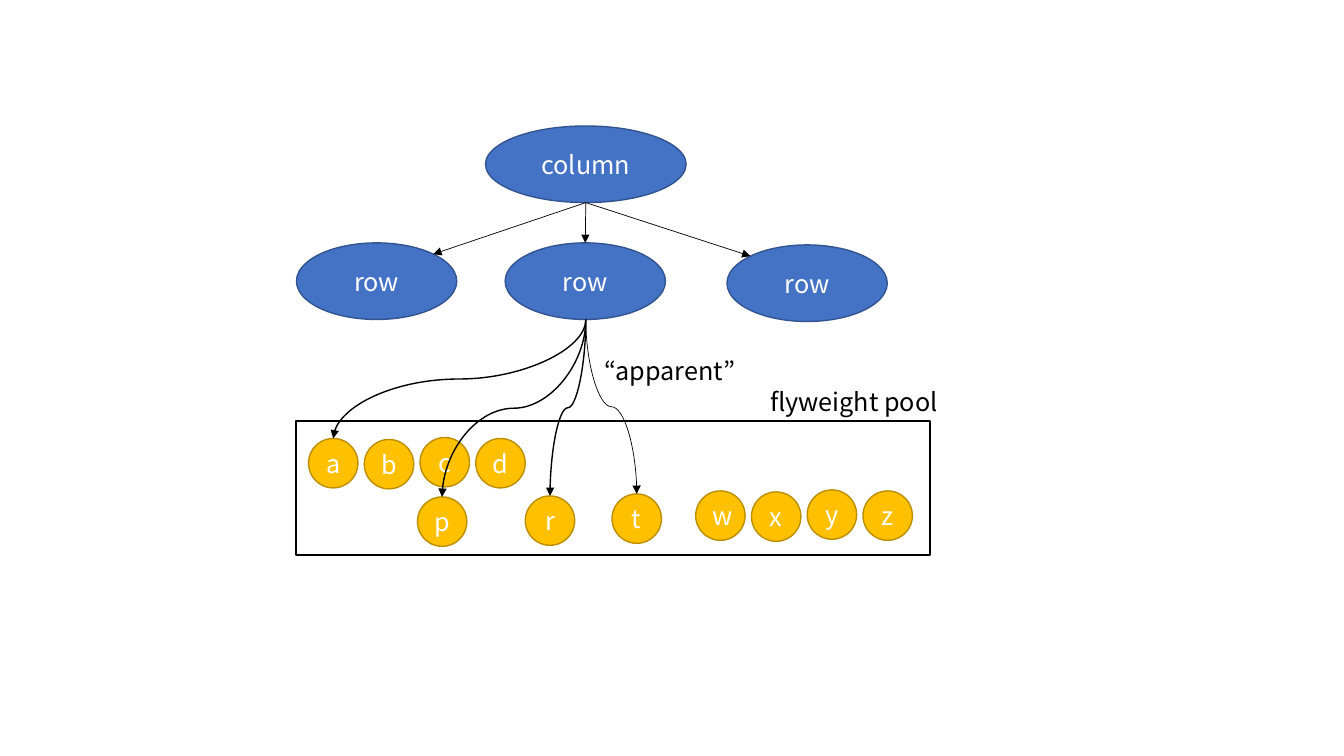
from math import sqrt

from lxml.etree import SubElement
from pptx import Presentation
from pptx.dml.color import RGBColor
from pptx.enum.shapes import MSO_CONNECTOR, MSO_SHAPE
from pptx.enum.text import MSO_ANCHOR, PP_ALIGN
from pptx.oxml.ns import qn
from pptx.util import Inches, Pt

COLORS = {"blue": "4472C4", "blue_line": "325491", "gold": "FFC000",
          "gold_line": "BD8E00", "white": "FFFFFF", "black": "000000"}
FONT = "Noto Sans CJK KR"
NODE_H = 0.76
LETTER_SIZE = 0.49


def rgb(name):
    return RGBColor.from_string(COLORS[name])


def write(tf, text, size=18, color="black", align=PP_ALIGN.LEFT, anchor=MSO_ANCHOR.TOP):
    tf.word_wrap = True
    tf.vertical_anchor = anchor
    p = tf.paragraphs[0]
    p.alignment = align
    r = p.add_run()
    r.text = text
    r.font.name = FONT
    r.font.size = Pt(size)
    r.font.color.rgb = rgb(color)


def add_box(s, kind, x, y, w, h, fill, line, weight=1.0, text=None):
    sp = s.shapes.add_shape(kind, Inches(x), Inches(y), Inches(w), Inches(h))
    sp.shadow.inherit = False
    sp.fill.solid()
    sp.fill.fore_color.rgb = rgb(fill)
    sp.line.color.rgb = rgb(line)
    sp.line.width = Pt(weight)
    if text:
        write(sp.text_frame, text, color="white", align=PP_ALIGN.CENTER,
              anchor=MSO_ANCHOR.MIDDLE)
    return sp


def add_node(s, text, x, y, w):
    return add_box(s, MSO_SHAPE.OVAL, x, y, w, NODE_H, "blue", "blue_line", text=text)


def add_label(s, text, x, y, w):
    sp = s.shapes.add_textbox(Inches(x), Inches(y), Inches(w), Inches(0.4))
    write(sp.text_frame, text)


def add_arrow(s, start, end, weight=0.5, kind=MSO_CONNECTOR.STRAIGHT):
    c = s.shapes.add_connector(kind, *[Inches(v) for v in (*start, *end)])
    c.line.color.rgb = rgb("black")
    c.line.width = Pt(weight)
    SubElement(c.line._get_or_add_ln(), qn("a:tailEnd"), type="triangle")
    SubElement(c._element.spPr, qn("a:effectLst"))
    return c


def add_curve(s, start, end, weight):
    """Curved arrow that leaves and arrives vertically."""
    (x1, y1), (x2, y2) = start, end
    w, h = y2 - y1, abs(x2 - x1)
    left, top = (x1 + x2 - w) / 2, (y1 + y2 - h) / 2
    c = add_arrow(s, (left, top), (left + w, top + h), weight, MSO_CONNECTOR.CURVE)
    # A quarter turn makes the ends vertical; the flip sends it rightwards
    xfrm = c._element.spPr.find(qn("a:xfrm"))
    xfrm.set("rot", str((90 if x2 < x1 else 270) * 60000))
    if x2 > x1:
        xfrm.set("flipH", "1")


def add_tree(s, x, y):
    """Column node over three rows; returns the bottom of the middle row."""
    row_w = 1.59
    mid = x + 2.87
    add_node(s, "column", mid - 0.995, y, 1.99)
    rows = [(x, y + 1.16), (x + 2.07, y + 1.16), (x + 4.27, y + 1.18)]
    left, middle, right = [add_node(s, "row", rx, ry, row_w) for rx, ry in rows]

    # Outer arrows meet the ellipses at 45 degrees
    root = (mid, y + NODE_H)
    cut = (1 - 1 / sqrt(2)) / 2
    (lx, ly), (mx, my), (rx, ry) = rows
    add_arrow(s, root, (lx + row_w * (1 - cut), ly + NODE_H * cut))
    add_arrow(s, root, (mx + row_w / 2, my)).end_connect(middle, 0)
    add_arrow(s, root, (rx + row_w * cut, ry + NODE_H * cut))
    return mid, my + NODE_H


def add_pool(s, x, y, w, h):
    """Frame with letters; returns the top point of each letter."""
    add_box(s, MSO_SHAPE.RECTANGLE, x, y, w, h, "white", "black", 1.5)
    pitch = 0.553
    spots = {}
    for word, dx, dy in (("abcd", 0.12, 0.17), ("wxyz", 3.96, 0.69)):
        for i, (letter, shift) in enumerate(zip(word, (0, 0.01, -0.01, 0))):
            spots[letter] = (x + dx + i * pitch, y + dy + shift)
    spots.update(p=(x + 1.2, y + 0.75), r=(x + 2.27, y + 0.74), t=(x + 3.13, y + 0.72))
    for letter, (lx, ly) in spots.items():
        add_box(s, MSO_SHAPE.OVAL, lx, ly, LETTER_SIZE, LETTER_SIZE,
                "gold", "gold_line", text=letter)
    add_label(s, "flyweight pool", x + 4.6, y - 0.4, 1.97)
    return {k: (lx + LETTER_SIZE / 2, ly) for k, (lx, ly) in spots.items()}


def add_links(s, start, tops):
    """Curves from the middle row to the letters it uses."""
    for letter, weight in (("a", 1), ("r", 1), ("p", 1), ("t", 0.5)):
        add_curve(s, start, tops[letter], weight)
    add_label(s, "“apparent”", start[0] + 0.09, start[1] + 0.31, 1.79)


def main():
    prs = Presentation()
    prs.slide_width, prs.slide_height = Inches(13.33), Inches(7.5)
    s = prs.slides.add_slide(prs.slide_layouts[6])
    row_bottom = add_tree(s, 2.94, 1.25)
    letter_tops = add_pool(s, 2.94, 4.18, 6.28, 1.33)
    add_links(s, row_bottom, letter_tops)
    prs.save("out.pptx")


if __name__ == "__main__":
    main()
